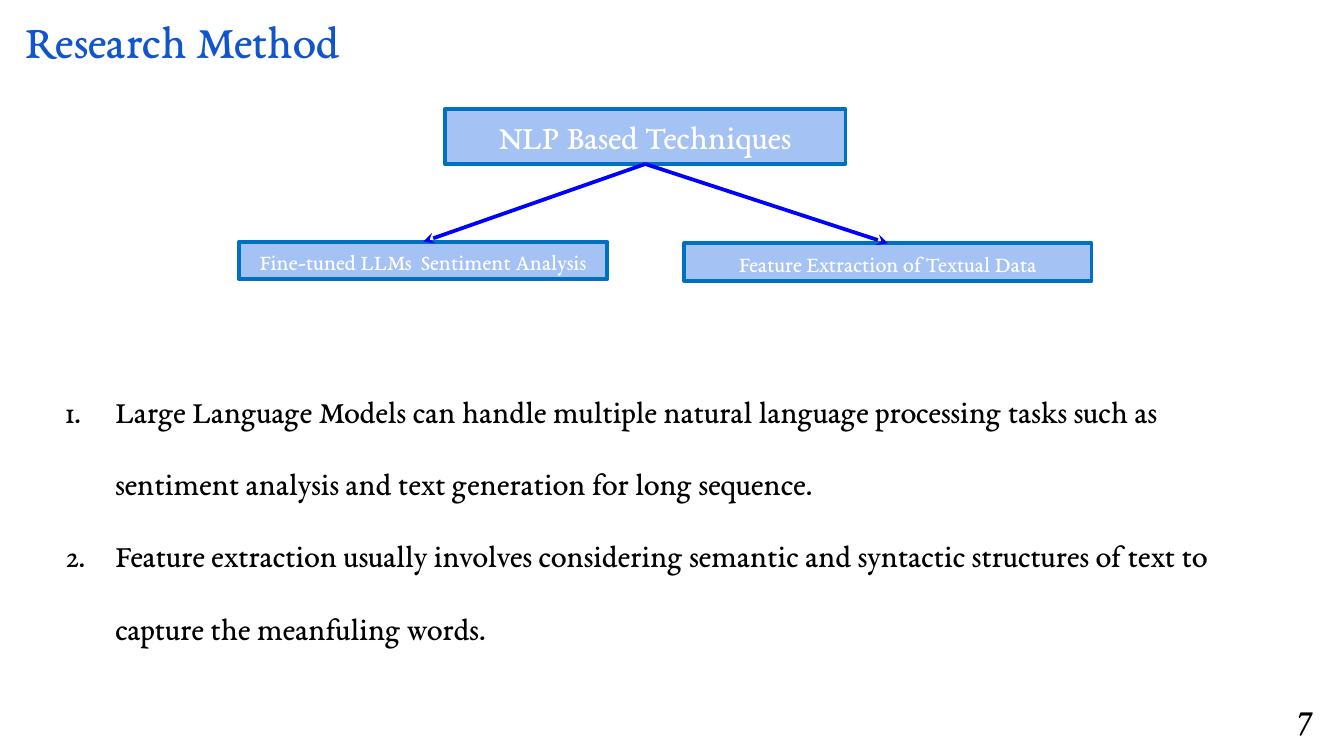
from lxml import etree
from pptx import Presentation
from pptx.dml.color import RGBColor
from pptx.enum.shapes import MSO_CONNECTOR, MSO_SHAPE
from pptx.enum.text import MSO_ANCHOR, PP_ALIGN
from pptx.oxml.ns import qn
from pptx.util import Cm, Pt

RECT = MSO_SHAPE.RECTANGLE
STRAIGHT = MSO_CONNECTOR.STRAIGHT
TOP, MIDDLE = MSO_ANCHOR.TOP, MSO_ANCHOR.MIDDLE
LEFT, CENTER, RIGHT = PP_ALIGN.LEFT, PP_ALIGN.CENTER, PP_ALIGN.RIGHT

BLACK = RGBColor(0x00, 0x00, 0x00)
WHITE = RGBColor(0xFF, 0xFF, 0xFF)
TITLE_BLUE = RGBColor(0x11, 0x55, 0xCC)
BOX_FILL = RGBColor(0xA4, 0xC2, 0xF4)
BOX_LINE = RGBColor(0x00, 0x70, 0xC0)
ARROW_BLUE = RGBColor(0x00, 0x00, 0xFF)

TOP_SITE, BOTTOM_SITE = 0, 2  # connection sites of a rectangle

POINTS = [
    "Large Language Models can handle multiple natural language processing "
    "tasks such as sentiment analysis and text generation for long sequence.",
    "Feature extraction usually involves considering semantic and syntactic "
    "structures of text to capture the meanfuling words.",
]


class SlideBuilder:
    font = "EB Garamond"
    line_width = Pt(2)
    inset = Cm(0.25)

    def __init__(self, slide):
        self.s = slide

    def fill_text(self, sp, paragraphs, size, color, align=LEFT, anchor=TOP,
                  v_inset=Cm(0.25), numbered=False, spacing=None):
        tf = sp.text_frame
        tf.word_wrap = True
        tf.vertical_anchor = anchor
        tf.margin_left = tf.margin_right = self.inset
        tf.margin_top = tf.margin_bottom = v_inset
        for i, text in enumerate(paragraphs):
            p = tf.paragraphs[0] if i == 0 else tf.add_paragraph()
            if numbered:
                self.number(p)
            p.alignment = align
            if spacing:
                p.line_spacing = spacing
            r = p.add_run()
            r.text = text
            r.font.name = self.font
            r.font.size = Pt(size)
            r.font.color.rgb = color

    def number(self, p):
        """Give a paragraph a hanging number such as 1."""
        pPr = p._p.get_or_add_pPr()
        pPr.set("marL", str(Cm(1.27)))
        pPr.set("indent", str(-Cm(0.94)))
        color = etree.SubElement(pPr, qn("a:buClr"))
        etree.SubElement(color, qn("a:srgbClr"), val=str(BLACK))
        etree.SubElement(pPr, qn("a:buFont"), typeface=self.font)
        etree.SubElement(pPr, qn("a:buAutoNum"), type="arabicPeriod")

    def text(self, x, y, w, h, *paragraphs, **style):
        sp = self.s.shapes.add_textbox(Cm(x), Cm(y), Cm(w), Cm(h))
        self.fill_text(sp, paragraphs, **style)

    def box(self, x, y, w, h, label, size):
        sp = self.s.shapes.add_shape(RECT, Cm(x), Cm(y), Cm(w), Cm(h))
        sp.shadow.inherit = False
        sp.fill.solid()
        sp.fill.fore_color.rgb = BOX_FILL
        sp.line.color.rgb = BOX_LINE
        sp.line.width = self.line_width
        self.fill_text(sp, [label], size, WHITE, align=CENTER, v_inset=Cm(0.13))
        return sp

    def arrow(self, parent, child):
        """Link the bottom of one box to the top of another."""
        c = self.s.shapes.add_connector(STRAIGHT, 0, 0, 0, 0)
        c.begin_connect(parent, BOTTOM_SITE)
        c.end_connect(child, TOP_SITE)
        c.line.color.rgb = ARROW_BLUE
        c.line.width = self.line_width
        etree.SubElement(c.line._get_or_add_ln(), qn("a:tailEnd"), type="stealth")
        etree.SubElement(c._element.spPr, qn("a:effectLst"))


def main():
    prs = Presentation()
    prs.slide_width, prs.slide_height = Cm(25.4), Cm(14.29)
    b = SlideBuilder(prs.slides.add_slide(prs.slide_layouts[6]))

    b.text(0.23, -0.03, 23.67, 1.6, "Research Method", size=25.2, color=TITLE_BLUE)
    b.text(0.66, 6.5, 23.67, 7.14, *POINTS, size=17, color=BLACK,
           numbered=True, spacing=1.9)
    b.text(21.23, 12.95, 3.84, 1.09, "7", size=20, color=BLACK,
           align=RIGHT, anchor=MIDDLE)

    techniques = b.box(8.41, 2.06, 7.57, 1.04, "NLP Based Techniques", 18)
    sentiment = b.box(4.52, 4.57, 6.96, 0.71, "Fine-tuned LLMs  Sentiment Analysis", 12)
    features = b.box(12.93, 4.6, 7.7, 0.71, "Feature Extraction of Textual Data", 12)
    for child in (sentiment, features):
        b.arrow(techniques, child)

    prs.save("out.pptx")


if __name__ == "__main__":
    main()
